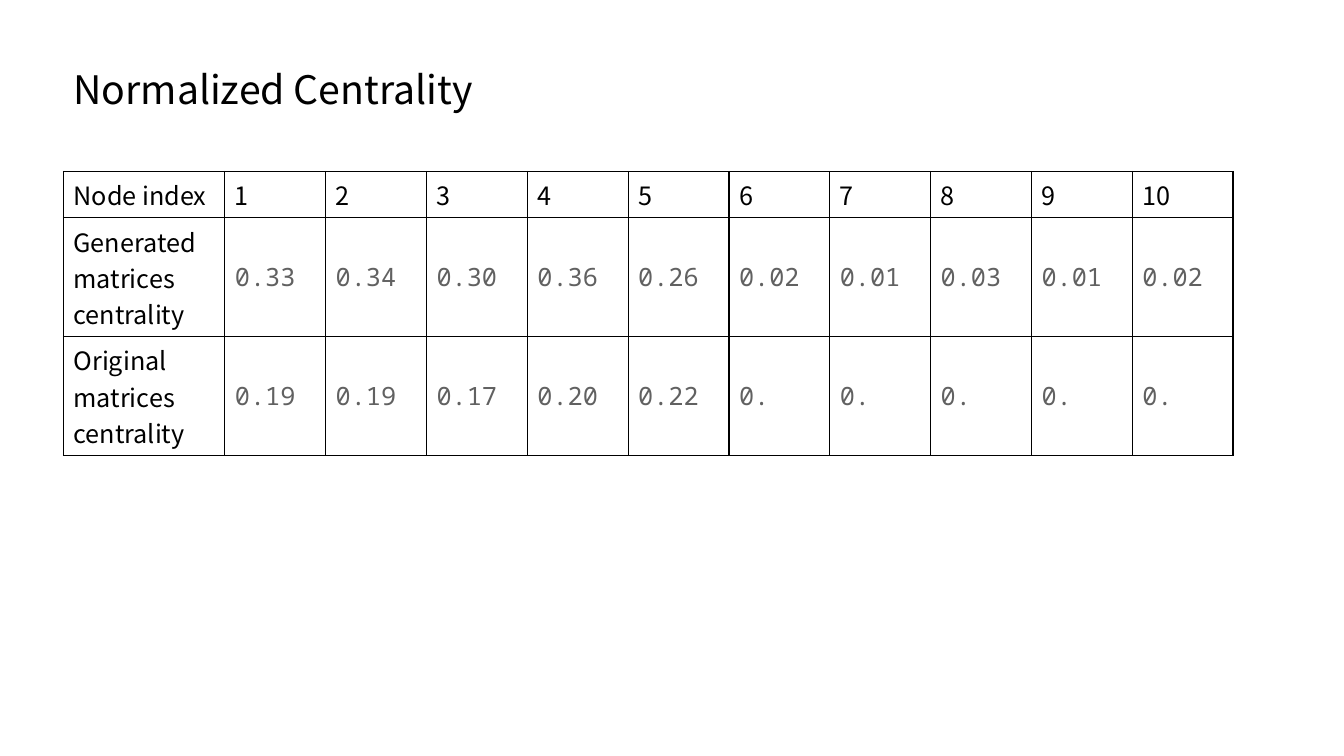
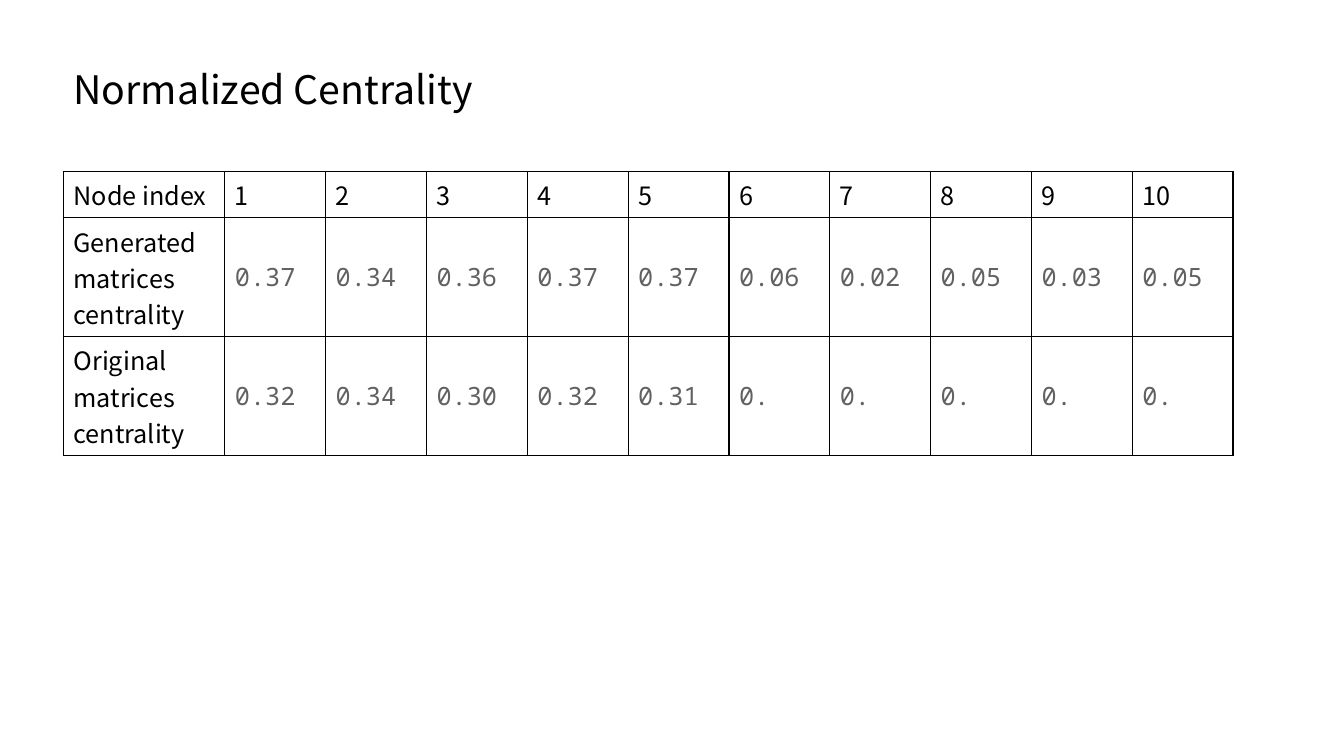
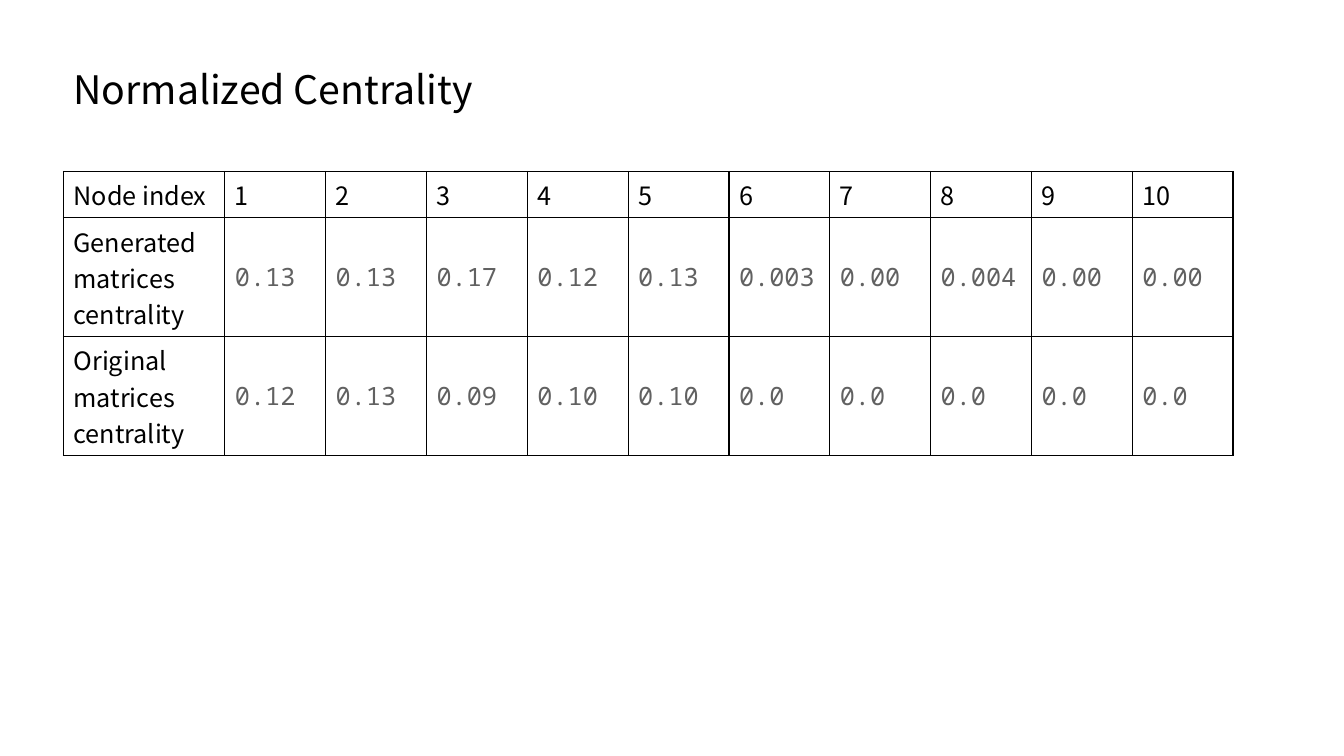
from pptx import Presentation
from pptx.dml.color import RGBColor
from pptx.enum import text
from pptx.oxml import parse_xml
from pptx.oxml.ns import nsdecls

PX = 9144
PT = 12700
BLACK = RGBColor(0x00, 0x00, 0x00)
GREY = RGBColor(0x61, 0x61, 0x61)
SANS = "Noto Sans CJK SC"
MONO = "Noto Sans Mono"

TITLE = "Normalized Centrality"
TITLE_BOX = (63, 60, 419, 57)
GRID_BOX = (63, 170, 1160, 282)
LABEL_W = 160
HEAD_H = 46
HEAD = ["Node index"] + [str(n) for n in range(1, 11)]
LABELS = ["Generated matrices centrality", "Original matrices centrality"]

SLIDES = [
    ["0.33 0.34 0.30 0.36 0.26 0.02 0.01 0.03 0.01 0.02",
     "0.19 0.19 0.17 0.20 0.22 0. 0. 0. 0. 0."],
    ["0.37 0.34 0.36 0.37 0.37 0.06 0.02 0.05 0.03 0.05",
     "0.32 0.34 0.30 0.32 0.31 0. 0. 0. 0. 0."],
    ["0.13 0.13 0.17 0.12 0.13 0.003 0.00 0.004 0.00 0.00",
     "0.12 0.13 0.09 0.10 0.10 0.0 0.0 0.0 0.0 0.0"],
]


def scale(box):
    return [v * PX for v in box]


def style(par, face, size, color):
    par.alignment = text.PP_ALIGN.LEFT
    for run in par.runs:
        run.font.name = face
        run.font.size = size * PT
        run.font.color.rgb = color


def add_title(slide, box):
    title = slide.shapes.title
    title.left, title.top, title.width, title.height = scale(box)
    frame = title.text_frame
    frame.text = TITLE
    frame.word_wrap = True
    frame.auto_size = text.MSO_AUTO_SIZE.SHAPE_TO_FIT_TEXT
    frame.vertical_anchor = text.MSO_ANCHOR.TOP
    style(frame.paragraphs[0], SANS, 28, BLACK)


def add_border(cell):
    props = cell._tc.get_or_add_tcPr()
    for i, side in enumerate("LRTB"):
        props.insert(i, parse_xml(
            f'<a:ln{side} {nsdecls("a")} w="{PT}"><a:solidFill>'
            f'<a:srgbClr val="{BLACK}"/></a:solidFill></a:ln{side}>'))


def fill_cell(cell, words, is_label, is_value):
    cell.text = words
    cell.fill.background()
    cell.vertical_anchor = text.MSO_ANCHOR.TOP if is_label else text.MSO_ANCHOR.MIDDLE
    face, color = (MONO, GREY) if is_value else (SANS, BLACK)
    style(cell.text_frame.paragraphs[0], face, 18, color)
    add_border(cell)


def add_grid(slide, box, values):
    rows = [HEAD] + [[label] + line.split() for label, line in zip(LABELS, values)]
    grid = slide.shapes.add_table(len(rows), len(HEAD), *scale(box)).table
    grid.first_row = grid.horz_banding = False
    wide, high = box[2:]
    for c, col in enumerate(grid.columns):
        col.width = PX * (LABEL_W if c == 0 else (wide - LABEL_W) // (len(HEAD) - 1))
    for r, row in enumerate(grid.rows):
        row.height = PX * (HEAD_H if r == 0 else (high - HEAD_H) // len(LABELS))
        for c, words in enumerate(rows[r]):
            fill_cell(grid.cell(r, c), words, c == 0, r > 0 and c > 0)


def main():
    deck = Presentation()
    deck.slide_width, deck.slide_height = scale((1333, 750))
    for values in SLIDES:
        slide = deck.slides.add_slide(deck.slide_layouts[5])
        add_grid(slide, GRID_BOX, values)
        add_title(slide, TITLE_BOX)
    deck.save("out.pptx")


if __name__ == "__main__":
    main()
